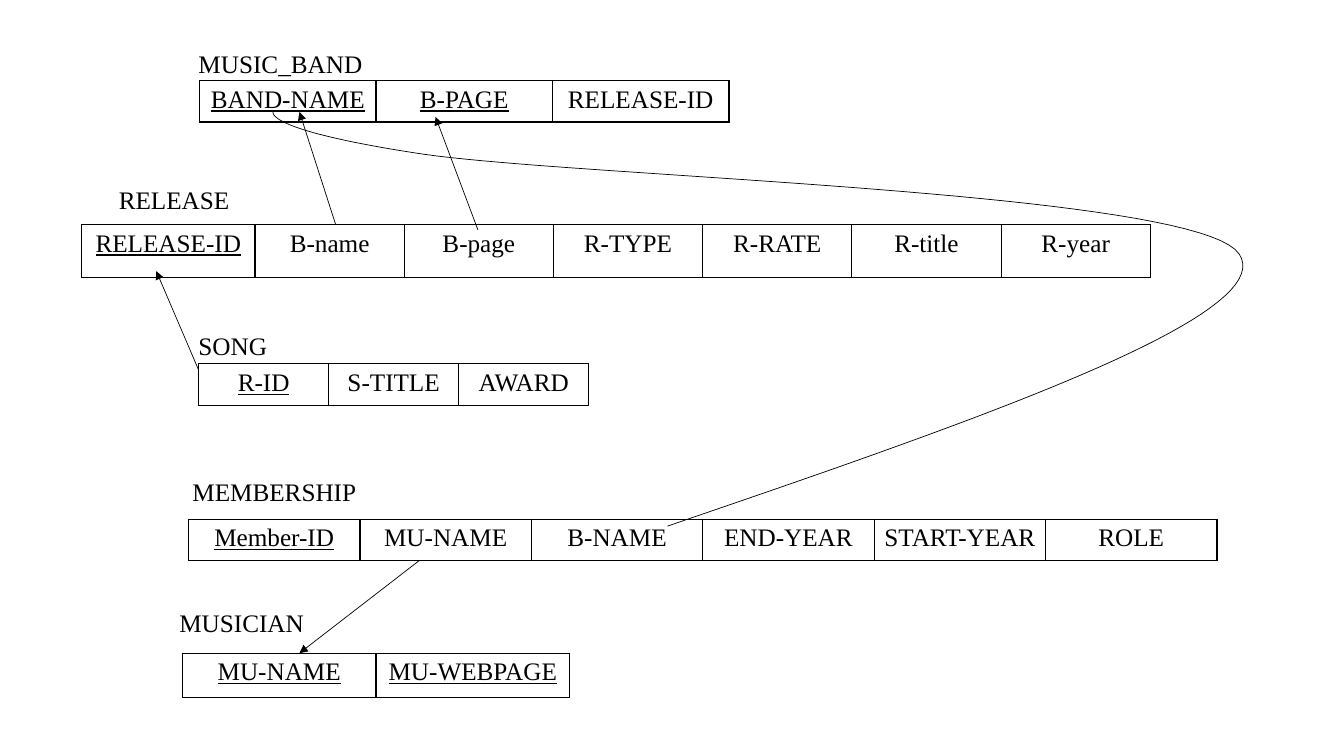
import pptx
import pptx.util
import pptx.dml.color
import pptx.enum.shapes
import pptx.enum.text
import pptx.oxml.ns
import lxml.etree

Inches, Pt = pptx.util.Inches, pptx.util.Pt
qn = pptx.oxml.ns.qn
BLACK, WHITE = "000000", "FFFFFF"


def color(value):
    return pptx.dml.color.RGBColor.from_string(value)


def write(p, text, **extra):
    r = p.add_run()
    r.text = text
    for name, value in {"name": "Times New Roman", "size": Pt(18), **extra}.items():
        setattr(r.font, name, value)
    r.font.color.rgb = color(BLACK)


prs = pptx.Presentation()
prs.slide_width, prs.slide_height = Inches(13.33), Inches(7.5)
s = prs.slides.add_slide(prs.slide_layouts[6])

relations = [
    ("MUSIC_BAND", 1.87, 0.43, 1.98, 0.8, 0.41, [1.75] * 3, 2,
     ["BAND-NAME", "B-PAGE", "RELEASE-ID"]),
    ("RELEASE", 1.08, 1.78, 0.81, 2.23, 0.52, [1.72] + [1.48] * 6, 1,
     ["RELEASE-ID", "B-name", "B-page", "R-TYPE", "R-RATE", "R-title", "R-year"]),
    ("SONG", 1.87, 3.23, 1.97, 3.61, 0.41, [1.29] * 3, 1,
     ["R-ID", "S-TITLE", "AWARD"]),
    ("MUSICIAN", 1.68, 5.98, 1.81, 6.48, 0.44, [1.92] * 2, 2,
     ["MU-NAME", "MU-WEBPAGE"]),
    ("MEMBERSHIP", 1.81, 4.68, 1.87, 5.15, 0.41, [1.7] * 6, 1,
     ["Member-ID", "MU-NAME", "B-NAME", "END-YEAR", "START-YEAR", "ROLE"]),
]
for title, title_x, title_y, x, y, height, widths, key_count, attributes in relations:
    tf = s.shapes.add_textbox(Inches(title_x), Inches(title_y), Inches(5.25), Inches(0.4)).text_frame
    tf.word_wrap = True
    write(tf.paragraphs[0], title)

    table = s.shapes.add_table(1, len(widths), Inches(x), Inches(y),
                               Inches(sum(widths)), Inches(height)).table
    table.first_row = table.horz_banding = False
    table.rows[0].height = Inches(height)
    for i, (width, attribute) in enumerate(zip(widths, attributes)):
        table.columns[i].width = Inches(width)
        cell = table.cell(0, i)
        cell.margin_left = cell.margin_right = Inches(0.09)
        p = cell.text_frame.paragraphs[0]
        p.alignment = pptx.enum.text.PP_ALIGN.CENTER
        write(p, attribute, underline=i < key_count)
        tcPr = cell._tc.get_or_add_tcPr()
        for side in ("a:lnL", "a:lnR", "a:lnT", "a:lnB"):
            ln = lxml.etree.SubElement(tcPr, qn(side), w=str(Pt(1)))
            fill = lxml.etree.SubElement(ln, qn("a:solidFill"))
            lxml.etree.SubElement(fill, qn("a:srgbClr"), val=BLACK)
        cell.fill.solid()
        cell.fill.fore_color.rgb = color(WHITE)

references = [
    (1.97, 3.67, 1.55, 2.69),
    (3.33, 2.23, 2.97, 1.11),
    (4.74, 2.28, 4.32, 1.16),
    (4.16, 5.56, 2.97, 6.48),
]
for ends in references:
    arrow = s.shapes.add_connector(pptx.enum.shapes.MSO_CONNECTOR.STRAIGHT, *map(Inches, ends))
    arrow.line.color.rgb = color(BLACK)
    arrow.line.width = Pt(0.5)
    lxml.etree.SubElement(arrow.line._get_or_add_ln(), qn("a:tailEnd"), type="triangle")
    lxml.etree.SubElement(arrow._element.spPr, qn("a:effectLst"))

start = (6.62, 5.22)
bends = [
    ((9.66, 4.18), (12.7, 3.13), (12.29, 2.52)),
    ((11.89, 1.9), (5.79, 1.76), (4.2, 1.53)),
    ((2.6, 1.29), (2.71, 1.11), (2.71, 1.11)),
]
steps = 40
points = [start]
for bend in bends:
    a, (b, c, d) = points[-1], bend
    for n in range(1, steps + 1):
        t = n / steps
        u = 1 - t
        points.append(tuple(u**3 * a[k] + 3 * u**2 * t * b[k] + 3 * u * t**2 * c[k] + t**3 * d[k]
                            for k in (0, 1)))
builder = s.shapes.build_freeform(Inches(start[0]), Inches(start[1]))
builder.add_line_segments([(Inches(px), Inches(py)) for px, py in points[1:]], close=False)
curve = builder.convert_to_shape()
curve.shadow.inherit = False
curve.fill.background()
curve.line.color.rgb = color(BLACK)
curve.line.width = Pt(0.5)

prs.save("out.pptx")
